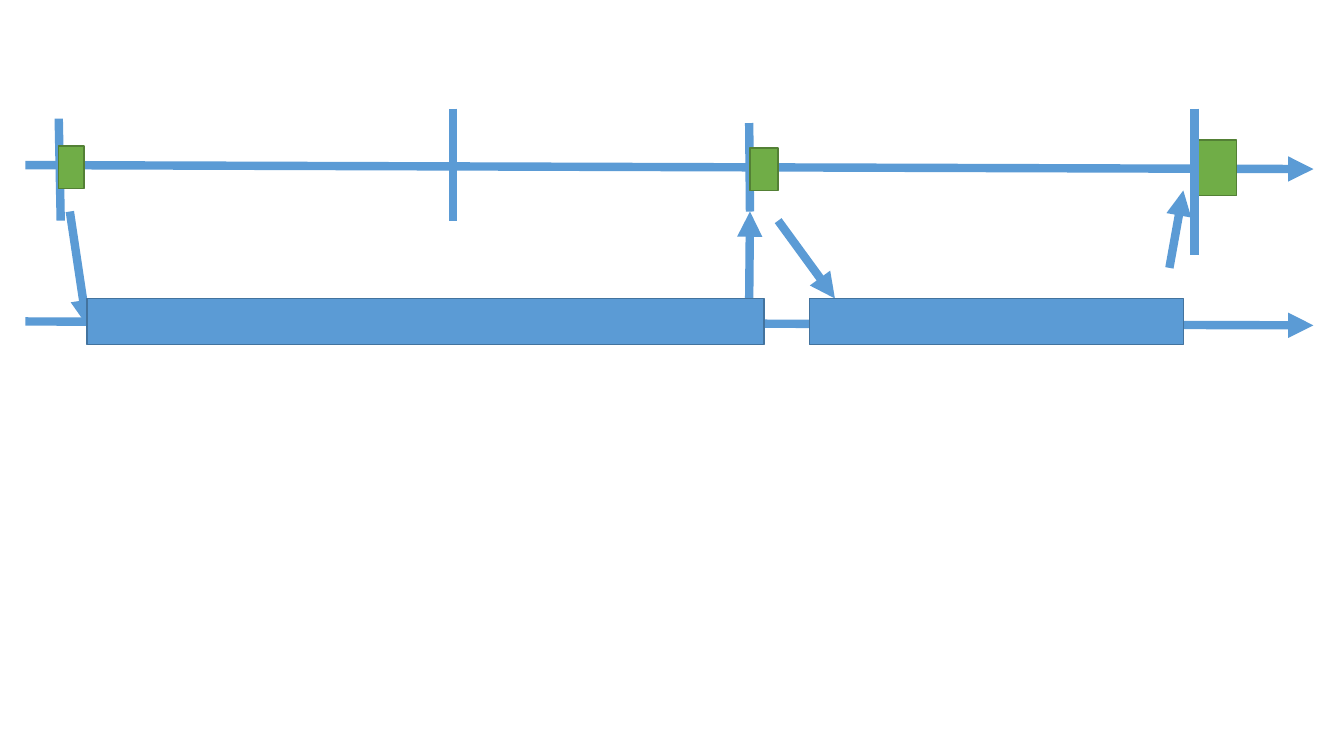
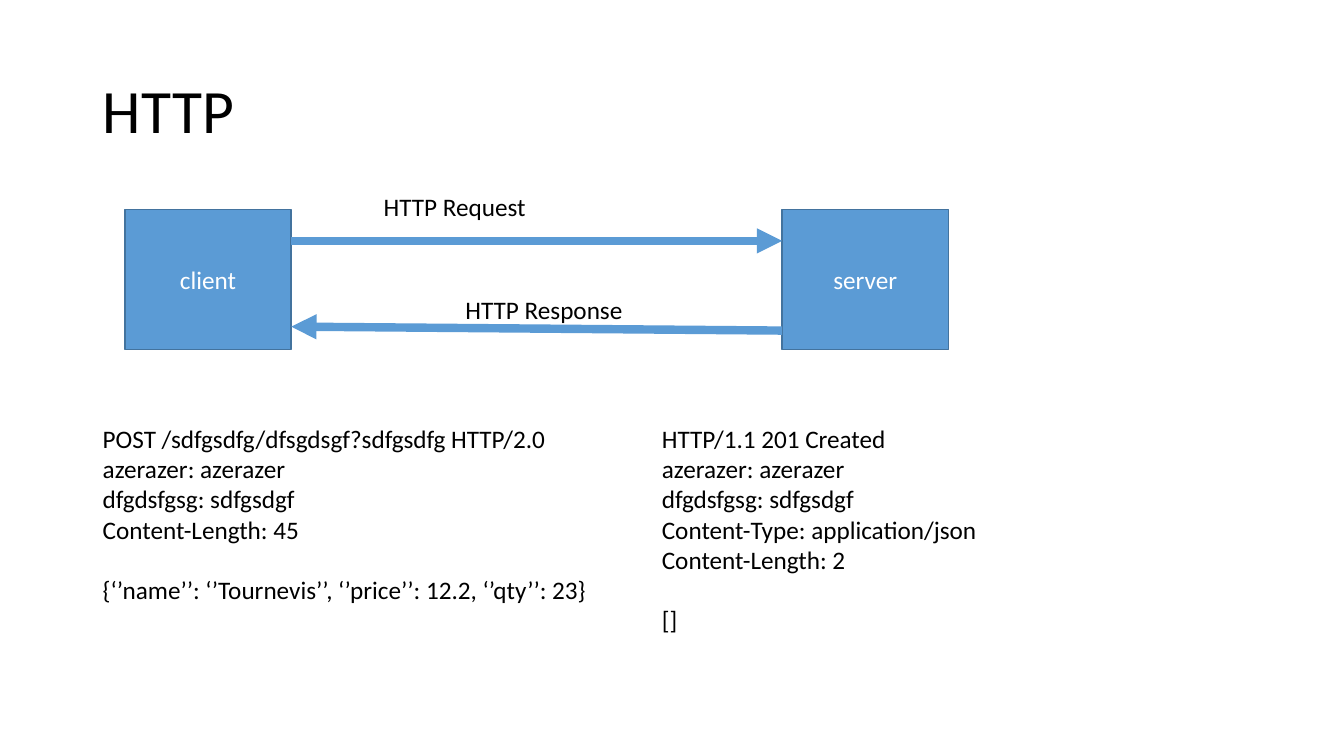
from lxml import etree
from pptx import Presentation
from pptx.dml.color import RGBColor
from pptx.enum import shapes, text
from pptx.oxml import ns
from pptx.util import Cm, Pt

COLORS = {"blue": "5B9BD5", "blue_edge": "43739E", "green": "70AD47",
          "green_edge": "538035", "black": "000000", "white": "FFFFFF"}
FONT = "Calibri"
BODY_SIZE = 18
LINE_HEIGHT = 1.2  # one text line, as a multiple of the font size


def color(name):
    """Return the named colour."""
    return RGBColor.from_string(COLORS[name])


def set_attrs(obj, **values):
    """Set each attribute of obj to its format value."""
    for name, value in values.items():
        setattr(obj, name, value)


def write(p, content, size=BODY_SIZE, ink="black"):
    """Add one formatted run to a paragraph."""
    r = p.add_run()
    r.text = content
    set_attrs(r.font, name=FONT, size=Pt(size))
    r.font.color.rgb = color(ink)


def add_line(s, start, end, arrow=False):
    """Draw a thick blue line between two points in cm."""
    line = s.shapes.add_connector(shapes.MSO_CONNECTOR.STRAIGHT,
                                  *map(Cm, start + end))
    line.line.color.rgb = color("blue")
    line.line.width = Pt(6)
    sp_pr = line._element.spPr
    if arrow:
        etree.SubElement(sp_pr.find(ns.qn("a:ln")), ns.qn("a:tailEnd"), type="triangle")
    etree.SubElement(sp_pr, ns.qn("a:effectLst"))


def add_block(s, box, hue, label=""):
    """Draw an outlined rectangle with an optional centred label."""
    sp = s.shapes.add_shape(shapes.MSO_SHAPE.RECTANGLE, *map(Cm, box))
    sp.shadow.inherit = False
    sp.fill.solid()
    sp.fill.fore_color.rgb = color(hue)
    sp.line.color.rgb = color(hue + "_edge")
    sp.line.width = Pt(1)
    if label:
        tf = sp.text_frame
        tf.vertical_anchor = text.MSO_ANCHOR.MIDDLE
        p = tf.paragraphs[0]
        p.alignment = text.PP_ALIGN.CENTER
        write(p, label, ink="white")


def add_text(s, box, lines, body=""):
    """Write lines of text, then a body set off by one line of space."""
    tf = s.shapes.add_textbox(*map(Cm, box)).text_frame
    set_attrs(tf, word_wrap=False, auto_size=text.MSO_AUTO_SIZE.SHAPE_TO_FIT_TEXT)
    for i, content in enumerate(lines):
        write(tf.add_paragraph() if i else tf.paragraphs[0], content)
    if body:
        p = tf.add_paragraph()
        p.space_before = Pt(BODY_SIZE * LINE_HEIGHT)
        write(p, body)


def set_title(s, box, content):
    """Place and format the title placeholder."""
    sp = s.shapes.title
    for name, value in zip(("left", "top", "width", "height"), box):
        setattr(sp, name, Cm(value))
    tf = sp.text_frame
    set_attrs(tf, word_wrap=True, vertical_anchor=text.MSO_ANCHOR.MIDDLE)
    p = tf.paragraphs[0]
    set_attrs(p, alignment=text.PP_ALIGN.LEFT, line_spacing=0.9)
    write(p, content, size=44)


def draw_timeline(s, box):
    """Draw two time axes with ticks, short jobs, long tasks and handovers."""
    left, top, width, height = box

    def at(x, y):
        return left + x, top + y

    def draw_lines(lines, arrow=False):
        for start, end in lines:
            add_line(s, at(*start), at(*end), arrow)

    def draw_blocks(blocks, hue):
        for x, y, w, h in blocks:
            add_block(s, (*at(x, y), w, h), hue)

    axes = [((0, y), (width, y + 0.1)) for y in (1.42, 5.36)]
    ticks = [((0.84, 0.25), (0.89, 2.82)), ((10.77, 0), (10.77, 2.82)),
             ((18.24, 0.36), (18.26, 2.59))]
    last_tick = [((29.46, 0), (29.46, 3.68))]
    jobs = [(0.84, 0.94, 0.64, 1.07), (18.26, 0.99, 0.71, 1.07),
            (29.46, 0.79, 1.07, 1.4)]
    task_height = 1.17
    task_top = height - task_height
    tasks = [(x, task_top, w, task_height) for x, w in ((1.55, 17.07), (19.76, 9.42))]
    handovers = [((1.12, 2.59), (1.55, 5.46)), ((18.24, task_top), (18.26, 2.59)),
                 ((18.97, 2.82), (20.4, task_top)), ((28.83, 4.01), (29.18, 2.06))]

    draw_lines(axes, arrow=True)
    draw_lines(ticks)
    draw_blocks(jobs, "green")
    draw_lines(last_tick)
    draw_lines(handovers, arrow=True)
    draw_blocks(tasks, "blue")


def draw_exchange(s, box):
    """Draw client and server with a labelled request and response."""
    left, top, width, height = box
    node = 4.19
    client_edge, server_edge = left + node, left + width - node
    for x, label in ((left, "client"), (server_edge, "server")):
        add_block(s, (x, top, node, height), "blue", label)
    add_line(s, (client_edge, top + 0.79), (server_edge, top + 0.79), arrow=True)
    add_line(s, (server_edge, top + 3.05), (client_edge, top + 2.95), arrow=True)
    for x, y, w, label in ((6.27, -0.58, 4.14, "HTTP Request"),
                           (8.33, 2.01, 4.52, "HTTP Response")):
        add_text(s, (left + x, top + y, w, 1.02), [label])


def draw_messages(s, box):
    """Write the request and response messages side by side."""
    left, top, width, height = box
    shared = ["azerazer: azerazer", "dfgdsfgsg: sdfgsdgf"]
    response_width = 8.56
    add_text(s, (left, top, 12.85, 4.88),
             ["POST /sdfgsdfg/dfsgdsgf?sdfgsdfg HTTP/2.0", *shared, "Content-Length: 45"],
             "{‘’name’’: ‘’Tournevis’’, ‘’price’’: 12.2, ‘’qty’’: 23}")
    add_text(s, (left + width - response_width, top, response_width, height),
             ["HTTP/1.1 201 Created", *shared, "Content-Type: application/json",
              "Content-Length: 2"], "[]")


def timeline_slide(prs):
    """Build the timeline slide."""
    s = prs.slides.add_slide(prs.slide_layouts.get_by_name("Blank"))
    draw_timeline(s, (0.64, 2.74, 32.46, 5.95))


def http_slide(prs):
    """Build the HTTP exchange slide."""
    s = prs.slides.add_slide(prs.slide_layouts.get_by_name("Title Only"))
    set_title(s, (2.34, 1.02, 29.21, 3.68), "HTTP")
    draw_exchange(s, (3.15, 5.28, 20.75, 3.53))
    draw_messages(s, (2.34, 10.54, 22.65, 5.64))


prs = Presentation()
set_attrs(prs, slide_width=Cm(33.87), slide_height=Cm(19.05))
timeline_slide(prs)
http_slide(prs)
prs.save("out.pptx")
